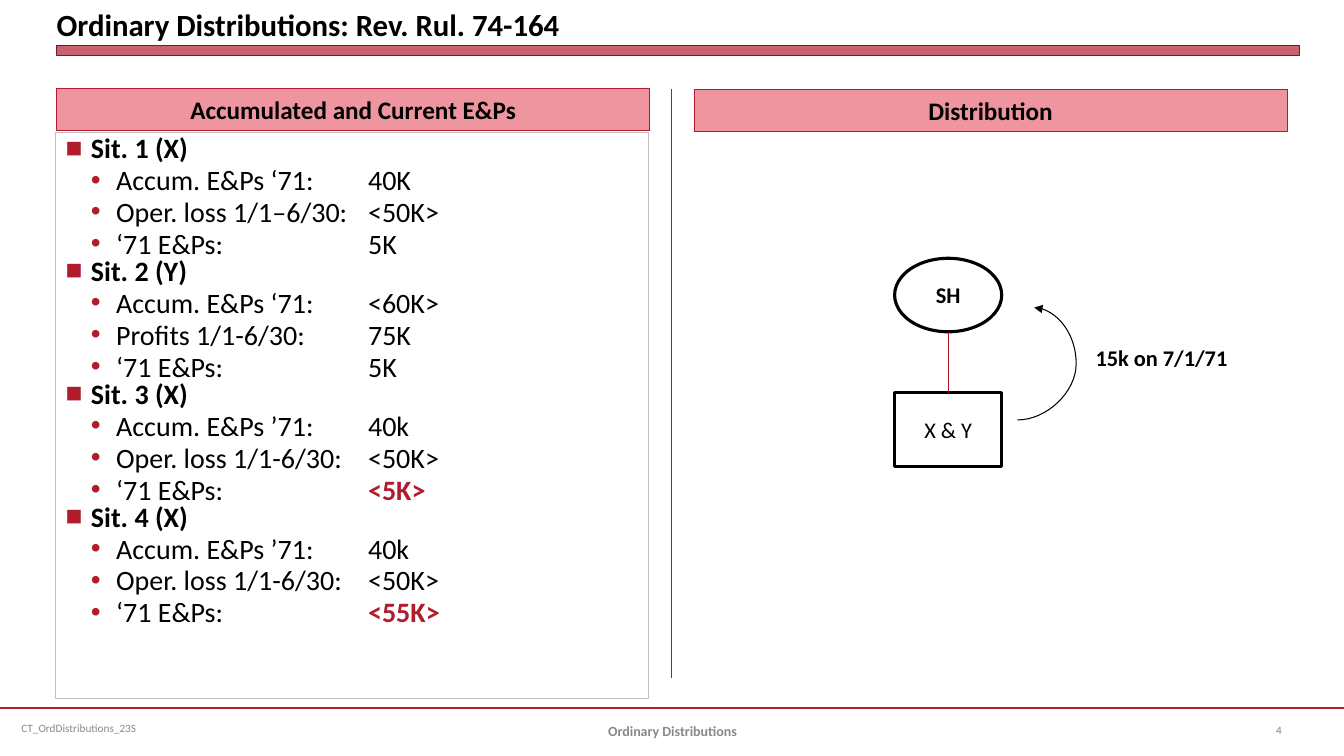
from lxml.etree import SubElement
from pptx import Presentation
from pptx.dml.color import RGBColor
from pptx.enum.shapes import MSO_CONNECTOR as CONN, MSO_SHAPE as SHAPE
from pptx.enum.text import MSO_ANCHOR as ANCHOR, MSO_AUTO_SIZE as FIT, PP_ALIGN as ALIGN
from pptx.oxml.ns import qn
from pptx.util import Pt

PX = 9525  # one px is 1/96 inch
COLORS = {"black": "000000", "white": "FFFFFF", "red": "B01C2E", "rule": "B0182A",
          "bar_edge": "821522", "pink": "EE95A0", "silver": "C0C0C0",
          "footer": "898989", "number": "808080"}

SITUATIONS = [
    ("Sit. 1 (X)", [("Accum. E&Ps ‘71:\t", "40K"), ("Oper. loss 1/1–6/30:\t", "<50K>"),
                    ("‘71 E&Ps:\t\t", "5K")]),
    ("Sit. 2 (Y)", [("Accum. E&Ps ‘71:\t", "<60K>"), ("Profits 1/1-6/30:\t", "75K"),
                    ("‘71 E&Ps:\t\t", "5K")]),
    ("Sit. 3 (X)", [("Accum. E&Ps ’71:\t", "40k"), ("Oper. loss 1/1-6/30:\t", "<50K>"),
                    ("‘71 E&Ps:\t\t", "<5K>")]),
    ("Sit. 4 (X)", [("Accum. E&Ps ’71:\t", "40k"), ("Oper. loss 1/1-6/30:\t", "<50K>"),
                    ("‘71 E&Ps:\t\t", "<55K>")]),
]
HIGHLIGHTED = {"<5K>", "<55K>"}


def rgb(name):
    return RGBColor.from_string(COLORS[name])


def emu(*lengths):
    return [n * PX for n in lengths]


def apply(obj, formats):
    for name, value in formats.items():
        setattr(obj, name, value)


def place(sp, box):
    apply(sp, dict(zip(("left", "top", "width", "height"), emu(*box))))


def paint(sp, fill, line, width):
    if fill:
        sp.fill.solid()
        sp.fill.fore_color.rgb = rgb(fill)
    else:
        sp.fill.background()
    sp.line.color.rgb = rgb(line)
    sp.line.width = Pt(width)


def add_run(p, text, size, bold=False, color="black"):
    r = p.add_run()
    r.text = text
    apply(r.font, {"name": "Calibri", "size": Pt(size), "bold": bold})
    r.font.color.rgb = rgb(color)


def write(sp, text, size, bold=False, color="black", align=ALIGN.LEFT, anchor=ANCHOR.MIDDLE):
    tf = sp.text_frame
    apply(tf, {"word_wrap": True, "auto_size": FIT.NONE, "vertical_anchor": anchor})
    p = tf.paragraphs[0]
    apply(p, {"alignment": align, "space_before": Pt(0)})
    add_run(p, text, size, bold, color)


def add_shape(s, kind, box, fill, line, width):
    sp = s.shapes.add_shape(kind, *emu(*box))
    sp.shadow.inherit = False
    paint(sp, fill, line, width)
    return sp


def add_text(s, box, text, size, **formats):
    write(s.shapes.add_textbox(*emu(*box)), text, size, **formats)


def add_line(s, ends, color, width, kind=CONN.STRAIGHT):
    line = s.shapes.add_connector(kind, *emu(*ends))
    line.line.color.rgb = rgb(color)
    line.line.width = Pt(width)
    SubElement(line._element.spPr, qn("a:effectLst"))
    return line


def title_band(s, box):
    x, y, w, h = box
    title = s.shapes.title
    place(title, box)
    write(title, "Ordinary Distributions: Rev. Rul. 74-164", 22, bold=True, anchor=ANCHOR.BOTTOM)
    apply(title.text_frame, dict.fromkeys(
        ("margin_left", "margin_top", "margin_right", "margin_bottom"), 0))
    # Translucent bar under the title
    bar = add_shape(s, SHAPE.RECTANGLE, (x, y + h + 2, w, 10), "red", "bar_edge", 0)
    color = bar._element.spPr.find(qn("a:solidFill"))[0]
    SubElement(color, qn("a:alpha")).set("val", "69000")


def panel_header(sp, box, text):
    place(sp, box)
    paint(sp, "pink", "red", 0.75)
    write(sp, text, 18, bold=True, align=ALIGN.CENTER)


def set_bullet(p, char, indent):
    pPr = p._p.get_or_add_pPr()
    for name, value in {"marL": indent * PX, "indent": -24 * PX, "defTabSz": 96 * PX}.items():
        pPr.set(name, str(value))
    SubElement(SubElement(pPr, qn("a:buClr")), qn("a:srgbClr")).set("val", COLORS["red"])
    SubElement(pPr, qn("a:buFont")).set("typeface", "Arial")
    SubElement(pPr, qn("a:buChar")).set("char", char)


def situation_list(sp, box):
    place(sp, box)
    paint(sp, "white", "silver", 0.75)
    tf = sp.text_frame
    apply(tf, {"word_wrap": True, "auto_size": FIT.NONE, "vertical_anchor": ANCHOR.TOP})
    p = tf.paragraphs[0]
    for i, (heading, items) in enumerate(SITUATIONS):
        if i:
            p = tf.add_paragraph()
        set_bullet(p, "■", 24)
        apply(p, {"line_spacing": 0.8, "space_before": Pt(0)})
        add_run(p, heading, 20, bold=True)
        for label, amount in items:
            p = tf.add_paragraph()
            set_bullet(p, "•", 48)
            apply(p, {"level": 1, "line_spacing": 0.8, "space_before": Pt(3.6)})
            add_run(p, label, 20)
            marked = amount in HIGHLIGHTED
            add_run(p, amount, 20, bold=marked, color="red" if marked else "black")


def distribution_diagram(s, box):
    x, y, w, h = box
    node_w, node_h = 102, 70
    company_y = y + h - node_h
    center = x + node_w // 2
    # Shareholder and company, joined by ownership
    for kind, top, text, bold in ((SHAPE.OVAL, y, "SH", True),
                                  (SHAPE.RECTANGLE, company_y, "X & Y", False)):
        node = add_shape(s, kind, (x, top, node_w, node_h), None, "black", 2.25)
        write(node, text, 16, bold=bold, align=ALIGN.CENTER)
    add_line(s, (center, y + node_h, center, company_y), "rule", 0.75)
    # Curved arrow for the payment
    arrow = add_line(s, (x + 117, y + 154, x + 133, y + 47), "black", 0.75, CONN.CURVE)
    guide = SubElement(arrow._element.spPr.find(qn("a:prstGeom")).find(qn("a:avLst")), qn("a:gd"))
    guide.set("name", "adj1")
    guide.set("fmla", "val 350000")
    SubElement(arrow.line._get_or_add_ln(), qn("a:tailEnd")).set("type", "triangle")
    add_text(s, (x + 182, y + 77, w - 182, 36), "15k on 7/1/71", 16, bold=True,
             anchor=ANCHOR.TOP)


def footer(s, box):
    x, y, w, h = box
    add_line(s, (x, y, x + w, y), "red", 1.25)
    add_text(s, (x + 11, y, 330, h), "CT_OrdDistributions_23S", 8, color="footer")
    add_text(s, (x + 438, y + 3, 405, h), "Ordinary Distributions", 10, bold=True,
             color="footer", align=ALIGN.CENTER)
    add_text(s, (x + 1206, y + 2, 64, h), "4", 8, color="number")


def main():
    prs = Presentation()
    prs.slide_width, prs.slide_height = emu(1280, 720)
    s = prs.slides.add_slide(prs.slide_layouts[4])
    _, left_header, left_list, right_header, spare = s.placeholders
    spare._element.getparent().remove(spare._element)

    title_band(s, (54, 0, 1184, 41))
    panel_header(left_header, (54, 84, 565, 40), "Accumulated and Current E&Ps")
    situation_list(left_list, (53, 126, 565, 539))
    add_line(s, (640, 85, 640, 646), "rule", 0.75)
    panel_header(right_header, (661, 85, 565, 40), "Distribution")
    distribution_diagram(s, (852, 246, 353, 198))
    footer(s, (0, 674, 1280, 38))
    prs.save("out.pptx")


if __name__ == "__main__":
    main()
